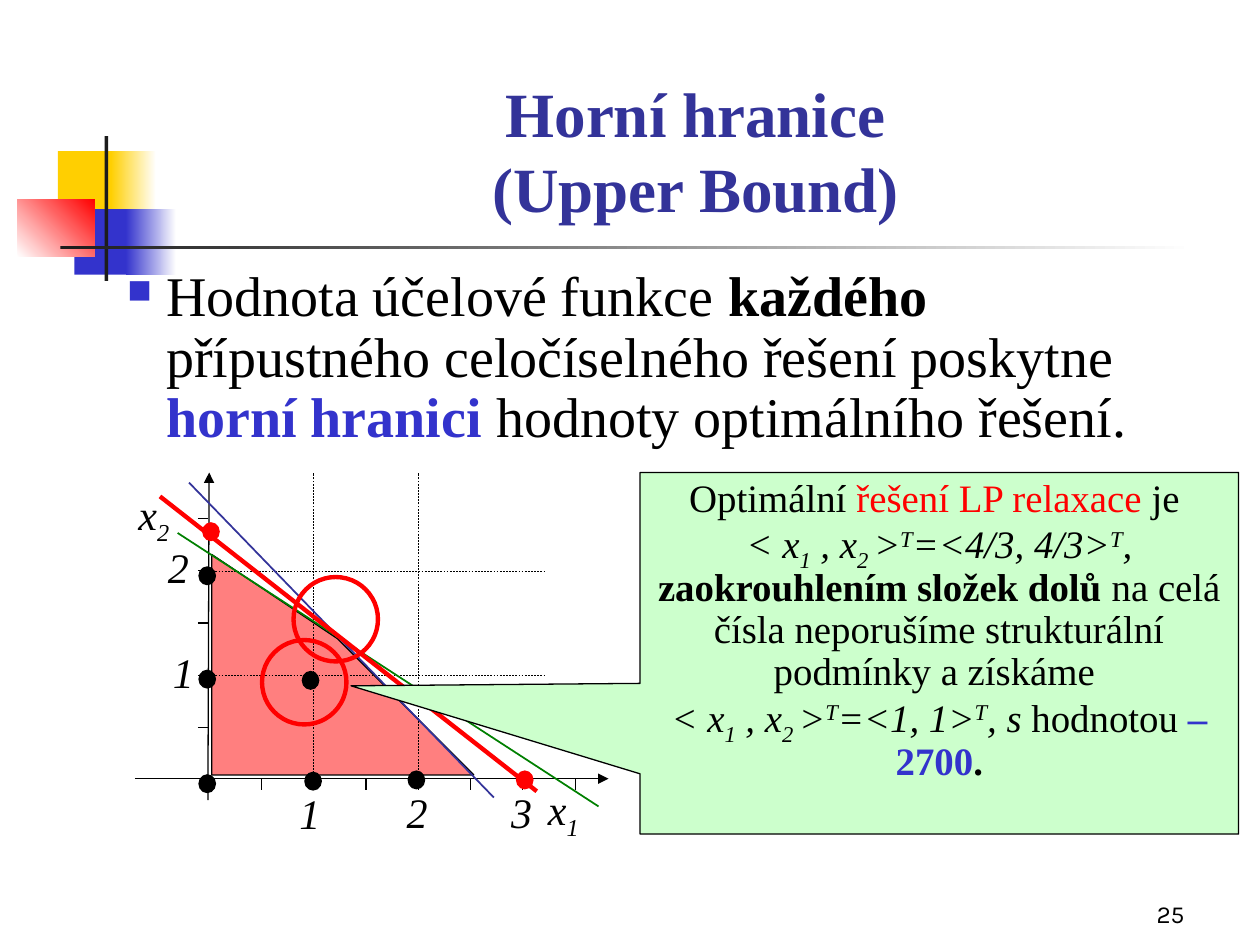
from lxml.etree import SubElement
from pptx import Presentation
from pptx.dml.color import RGBColor
from pptx.enum.dml import MSO_LINE
from pptx.enum.shapes import MSO_CONNECTOR, MSO_SHAPE
from pptx.enum.text import MSO_ANCHOR, MSO_AUTO_SIZE, PP_ALIGN
from pptx.oxml.ns import qn
from pptx.util import Inches, Pt

BLACK, RED, BLUE, NAVY = "000000", "FF0000", "3333CC", "333399"
GREEN, MINT, YELLOW, DARK, WHITE = "008000", "CCFFCC", "FFCF01", "1C1C1C", "FFFFFF"
SERIF = "Times New Roman"


def rgb(value):
    return RGBColor.from_string(value)


class SlideBuilder:
    """Draws styled elements on the current slide."""

    def __init__(self, slide):
        self.slide = slide
        self.shapes = slide.shapes

    def add_runs(self, p, runs, size, font=SERIF, **common):
        for text, style in runs:
            if text == "\n":
                p.add_line_break()
                continue
            style = {**common, **style}
            r = p.add_run()
            r.text = text
            r.font.name, r.font.size = font, Pt(size)
            r.font.bold = style.get("bold", False)
            r.font.italic = style.get("italic", False)
            r.font.color.rgb = rgb(style.get("color", BLACK))
            if "base" in style:
                r._r.get_or_add_rPr().set("baseline", str(style["base"] * 1000))

    def title(self, box, runs, size, color):
        sp = self.shapes.title
        sp.left, sp.top, sp.width, sp.height = map(Inches, box)
        tf = sp.text_frame
        tf.auto_size = MSO_AUTO_SIZE.NONE
        tf.vertical_anchor = MSO_ANCHOR.BOTTOM
        p = tf.paragraphs[0]
        p.alignment = PP_ALIGN.CENTER
        self.add_runs(p, runs, size, color=color, bold=True)

    def text(self, box, runs, size, align=PP_ALIGN.LEFT, anchor=MSO_ANCHOR.TOP, **style):
        tf = self.shapes.add_textbox(*map(Inches, box)).text_frame
        tf.word_wrap = True
        tf.vertical_anchor = anchor
        p = tf.paragraphs[0]
        p.alignment = align
        self.add_runs(p, runs, size, **style)
        return p

    def bullet(self, box, runs, size):
        p = self.text(box, runs, size)
        p.line_spacing = 0.9
        pPr = p._p.get_or_add_pPr()
        pPr.set("marL", str(Inches(0.83)))
        pPr.set("indent", str(Inches(-0.31)))
        SubElement(SubElement(pPr, qn("a:buClr")), qn("a:srgbClr"), val=BLUE)
        SubElement(pPr, qn("a:buSzPct"), val="60000")
        SubElement(pPr, qn("a:buChar"), char="■")

    def style(self, sp, fill, line, width):
        sp.shadow.inherit = False
        if fill:
            sp.fill.solid()
            sp.fill.fore_color.rgb = rgb(fill)
        else:
            sp.fill.background()
        if line:
            sp.line.color.rgb = rgb(line)
            sp.line.width = Pt(width)
        else:
            sp.line.fill.background()

    def shape(self, kind, box, fill=None, line=None, width=0.75):
        sp = self.shapes.add_shape(kind, *map(Inches, box))
        self.style(sp, fill, line, width)
        return sp

    def gradient(self, box, start, end, angle=0):
        sp = self.shape(MSO_SHAPE.RECTANGLE, box)
        sp.fill.gradient()
        sp.fill.gradient_angle = angle
        for stop, color in zip(sp.fill.gradient_stops, (start, end)):
            stop.color.rgb = rgb(color)

    def polygon(self, points, fill, line, alpha):
        start, *rest = [(Inches(x), Inches(y)) for x, y in points]
        builder = self.shapes.build_freeform(*start, scale=1.0)
        builder.add_line_segments(rest, close=True)
        sp = builder.convert_to_shape()
        self.style(sp, fill, line, 0.75)
        color = sp._element.spPr.find(qn("a:solidFill")).find(qn("a:srgbClr"))
        SubElement(color, qn("a:alpha"), val=str(alpha * 1000))

    def line(self, x1, y1, x2, y2, color=BLACK, width=0.75, dash=None, arrow=False):
        ends = map(Inches, (x1, y1, x2, y2))
        cn = self.shapes.add_connector(MSO_CONNECTOR.STRAIGHT, *ends)
        cn.line.color.rgb = rgb(color)
        cn.line.width = Pt(width)
        if dash:
            cn.line.dash_style = dash
        spPr = cn._element.spPr
        if arrow:
            SubElement(spPr.find(qn("a:ln")), qn("a:tailEnd"), type="triangle")
        SubElement(spPr, qn("a:effectLst"))

    def dot(self, x, y, color=BLACK):
        self.shape(MSO_SHAPE.OVAL, (x, y, 0.13, 0.14), color, color)

    def ring(self, x, y):
        self.shape(MSO_SHAPE.OVAL, (x, y, 0.67, 0.67), line=RED, width=2.5)

    def callout(self, box, tip, paragraphs, size):
        sp = self.shape(MSO_SHAPE.RECTANGULAR_CALLOUT, box, MINT, BLACK)
        sp.adjustments[0], sp.adjustments[1] = tip
        tf = sp.text_frame
        tf.word_wrap = True
        tf.vertical_anchor = MSO_ANCHOR.TOP
        for i, runs in enumerate(paragraphs):
            p = tf.add_paragraph() if i else tf.paragraphs[0]
            p.alignment = PP_ALIGN.CENTER
            p.line_spacing = 0.9
            self.add_runs(p, runs, size)


def vector(values, ending):
    parts = [("< x", 0), ("1", -25), (" , x", 0), ("2 ", -25), (">", 0), ("T", 30),
             (f"=<{values}>", 0), ("T", 30), (ending, 0)]
    return [(t, {"italic": True, "base": b} if b else {"italic": True}) for t, b in parts]


def draw_decoration(s):
    s.shape(MSO_SHAPE.RECTANGLE, (0.46, 1.2, 0.48, 0.52), YELLOW)
    s.gradient((0.88, 1.2, 0.36, 0.52), YELLOW, WHITE)
    s.shape(MSO_SHAPE.RECTANGLE, (0.59, 1.66, 0.46, 0.52), BLUE)
    s.gradient((1, 1.66, 0.4, 0.52), BLUE, WHITE)
    s.gradient((0.14, 1.58, 0.61, 0.46), WHITE, RED, 45)
    s.shape(MSO_SHAPE.RECTANGLE, (0.83, 1.08, 0.03, 1.15), DARK)
    s.gradient((0.48, 1.95, 9, 0.03), DARK, WHITE)


def draw_graph(s):
    x0, y0, unit = 1.66, 6.19, 0.83
    region = [(1.68, 4.4), (1.68, 6.15), (3.76, 6.15), (2.68, 5.07)]
    s.polygon(region, RED, BLACK, 50)
    s.line(1.65, 6.35, 1.66, 3.75, arrow=True)
    s.line(1.07, 6.18, 4.83, 6.18, arrow=True)
    for i in range(1, 8):
        x = x0 + i * unit / 2
        s.line(x, 6.18, x, 6.27)
    for i in range(1, 6):
        y = y0 - i * unit / 2
        s.line(1.57, y, 1.65, y)
    for label, box in (("1", (1.96, 6.2, 1, 0.5)), ("2", (2.81, 6.19, 1, 0.5)),
                       ("3", (3.64, 6.19, 1, 0.5)), ("1", (1.08, 5.08, 0.75, 0.5)),
                       ("2", (1.08, 4.25, 0.67, 0.5))):
        s.text(box, [(label, {})], 24, PP_ALIGN.CENTER, italic=True)
    for i in (1, 2):
        x, y = x0 + i * unit, y0 - i * unit
        s.line(x0, y, 4.33, y, width=0.25, dash=MSO_LINE.DASH)
        s.line(x, 6.16, x, 3.75, width=0.25, dash=MSO_LINE.DASH)
    for x, y in ((1.58, 6.15), (2.4, 5.33), (1.58, 5.32), (3.24, 6.12),
                 (2.42, 6.13), (1.58, 4.5)):
        s.dot(x, y)
    s.line(1.41, 4.23, 4.75, 6.4, GREEN, 1)
    s.line(1.5, 3.83, 3.92, 6.33, NAVY, 1)
    for index, x, y in (("2", 1, 3.83), ("1", 4.25, 6.17)):
        s.text((x, y, 1.08, 0.56), [("x", {}), (index, {"base": -25})], 24, italic=True)
    s.dot(1.61, 4.15, RED)
    s.dot(4.1, 6.12, RED)
    s.line(1.27, 3.94, 4.26, 6.28, RED, 2.5)
    s.ring(2.08, 5.08)


def main():
    prs = Presentation()
    prs.slide_width, prs.slide_height = Inches(10), Inches(7.5)
    s = SlideBuilder(prs.slides.add_slide(prs.slide_layouts[5]))
    bold = {"bold": True}
    draw_decoration(s)
    s.text((7.42, 6.92, 2.08, 0.5), [("25", {})], 14, PP_ALIGN.RIGHT,
           MSO_ANCHOR.BOTTOM, font="Karla")
    s.title((1.26, 0.42, 8.52, 1.42),
            [("Horní hranice", {}), ("\n", {}), ("(Upper Bound)", {})], 36, NAVY)
    s.bullet((0.39, 2.08, 9.21, 1.67), [
        ("Hodnota účelové funkce ", {}), ("každého", bold),
        (" přípustného celočíselného řešení poskytne ", {}),
        ("horní hranici", {"bold": True, "color": BLUE}),
        (" hodnoty optimálního řešení.", {})], 32)
    draw_graph(s)
    s.callout((5.08, 3.75, 4.75, 2.87), (-0.983, 0.09), [
        [("Optimální", {}), (" řešení LP relaxace ", {"color": RED}), ("je ", {}),
         ("\n", {}), *vector("4/3, 4/3", ", "), ("zaokrouhlením složek dolů", bold),
         (" na celá čísla neporušíme strukturální podmínky a získáme ", {})],
        [*vector("1, 1", ", s "), ("hodnotou ", {}),
         ("–2700", {"bold": True, "color": BLUE}), (".", bold)]], 22.2)
    s.ring(2.33, 4.58)
    prs.save("out.pptx")


if __name__ == "__main__":
    main()
